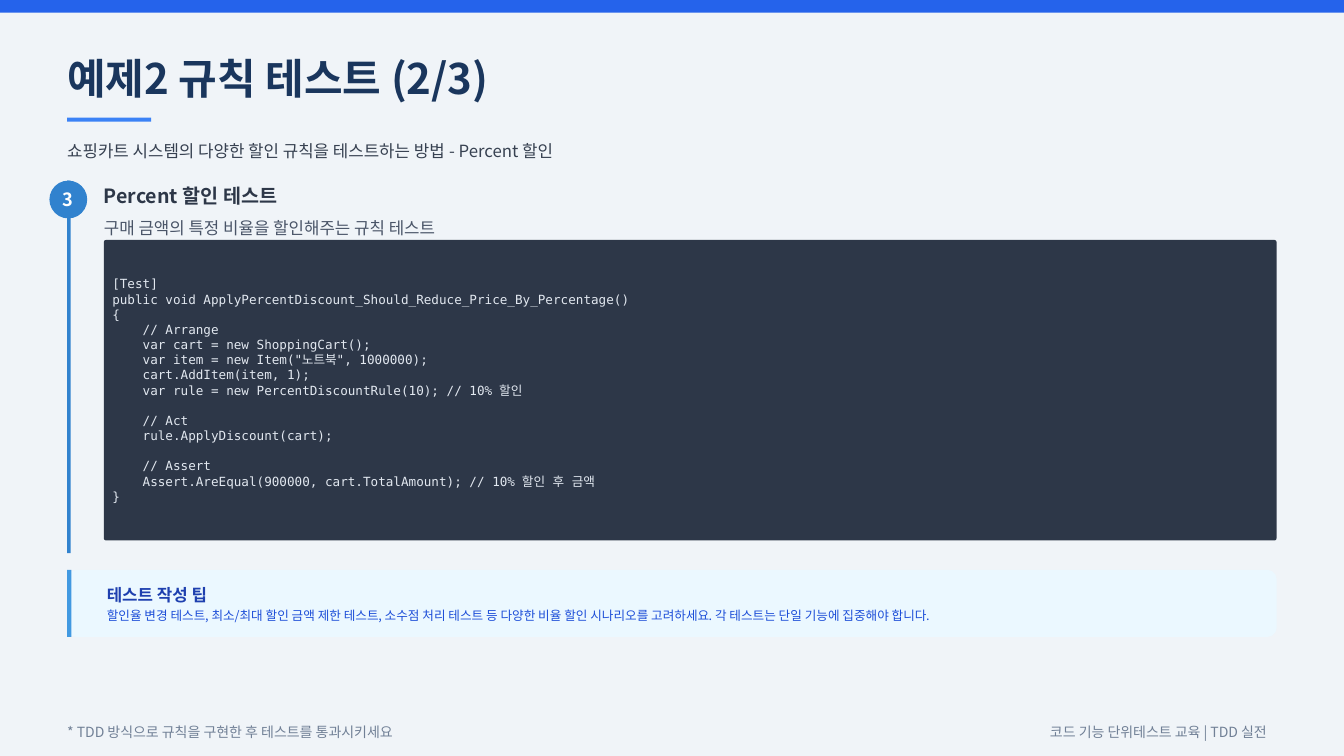
from dataclasses import dataclass

from lxml.etree import SubElement as SubEl
from pptx import Presentation
from pptx.dml.color import RGBColor as RGB
from pptx.enum.shapes import MSO_SHAPE as Kind
from pptx.enum.text import MSO_ANCHOR as Anchor
from pptx.oxml.ns import qn
from pptx.util import Pt


@dataclass(frozen=True)
class Theme:
    sans: str = "Noto Sans CJK KR"
    mono: str = "DejaVu Sans Mono"
    # Type sizes
    title: int = 30
    head: int = 14
    badge: int = 13
    body: int = 12
    foot: int = 10
    small: int = 9
    # Surfaces
    page: str = "F0F4F8"
    band: str = "2563EB"
    rule: str = "3B82F6"
    step: str = "3182CE"
    panel: str = "2D3748"
    tip: str = "EBF8FF"
    edge: str = "4299E1"
    # Text colours
    navy: str = "1A365D"
    ink: str = "374151"
    dark: str = "2D3748"
    grey: str = "4A5568"
    mute: str = "718096"
    code: str = "E2E8F0"
    white: str = "FFFFFF"
    lead: str = "1E40AF"
    note: str = "1D4ED8"


T = Theme()
WIDE, HIGH = 960, 540
LEFT = 48      # page margin
INNER = 74.2   # left edge of the step content
TIP_X = 76.3   # left edge of the tip text
GAP = 10.85    # one blank line of code

CODE = """[Test]
public void ApplyPercentDiscount_Should_Reduce_Price_By_Percentage()
{
    // Arrange
    var cart = new ShoppingCart();
    var item = new Item("노트북", 1000000);
    cart.AddItem(item, 1);
    var rule = new PercentDiscountRule(10); // 10% 할인

    // Act
    rule.ApplyDiscount(cart);

    // Assert
    Assert.AreEqual(900000, cart.TotalAmount); // 10% 할인 후 금액
}"""


def box(slide, area, fill, kind=Kind.RECTANGLE, curve=None):
    shape = slide.shapes.add_shape(kind, *map(Pt, area))
    shape.shadow.inherit = False
    shape.fill.solid()
    shape.fill.fore_color.rgb = RGB.from_string(fill)
    shape.line.fill.background()
    if curve is not None:
        shape.adjustments[0] = curve


def frame(slide, area):
    text = slide.shapes.add_textbox(*map(Pt, area)).text_frame
    form = dict(word_wrap=True, vertical_anchor=Anchor.MIDDLE, margin_left=0,
                margin_top=0, margin_right=0, margin_bottom=0)
    for key, value in form.items():
        setattr(text, key, value)
    return text


def write(para, words, size, color, bold=False, face=T.sans):
    run = para.add_run()
    run.text = words
    form = dict(size=Pt(size), bold=bold, name=face)
    for key, value in form.items():
        setattr(run.font, key, value)
    run.font.color.rgb = RGB.from_string(color)
    # Korean glyphs take the East Asian face
    SubEl(run.font._element, qn("a:ea")).set("typeface", face)


def label(slide, area, words, size, color, bold=False):
    write(frame(slide, area).paragraphs[0], words, size, color, bold)


def listing(slide, area, source):
    text = frame(slide, area)
    for part, block in enumerate(source.split("\n\n")):
        for row, line in enumerate(block.split("\n")):
            first = part == row == 0
            para = text.paragraphs[0] if first else text.add_paragraph()
            if part and row == 0:
                para.space_before = Pt(GAP)
            write(para, line, T.small, T.code, face=T.mono)


def header(slide):
    box(slide, (0, 0, WIDE, HIGH), T.page)
    box(slide, (0, 0, WIDE, 9), T.band)
    label(slide, (LEFT, 34, 320, 43), "예제2 규칙 테스트 (2/3)",
          T.title, T.navy, True)
    box(slide, (LEFT, 84, 60, 3), T.rule)
    label(slide, (LEFT, 99, 362, 18),
          "쇼핑카트 시스템의 다양한 할인 규칙을 테스트하는 방법 - Percent 할인",
          T.body, T.ink)


def step(slide):
    box(slide, (LEFT, 129, 2.4, 266.2), T.step)
    box(slide, (35.3, 129, 27, 27), T.step, Kind.OVAL)
    label(slide, (44.5, 132.5, 18, 20), "3", T.badge, T.white, True)
    label(slide, (INNER, 129, 139, 21), "Percent 할인 테스트",
          T.head, T.dark, True)
    label(slide, (INNER, 153.4, 250.6, 18),
          "구매 금액의 특정 비율을 할인해주는 규칙 테스트", T.body, T.grey)
    box(slide, (INNER, 171.4, 837.6, 214.6), T.panel,
        Kind.ROUNDED_RECTANGLE, 0.007)
    listing(slide, (80.2, 180, 774, 197.3), CODE)


def tip(slide):
    box(slide, (LEFT, 407, 864, 48), T.tip, Kind.ROUNDED_RECTANGLE, 0.14)
    box(slide, (LEFT, 407, 3, 48), T.edge)
    label(slide, (TIP_X, 416, 83, 18), "테스트 작성 팁", T.body, T.lead, True)
    label(slide, (TIP_X, 433.4, 610, 13),
          "할인율 변경 테스트, 최소/최대 할인 금액 제한 테스트, 소수점 처리 테스트 등 "
          "다양한 비율 할인 시나리오를 고려하세요. 각 테스트는 단일 기능에 집중해야 합니다.",
          T.small, T.note)


def footer(slide):
    for left, wide, words in (
            (LEFT, 250, "* TDD 방식으로 규칙을 구현한 후 테스트를 통과시키세요"),
            (750, 170, "코드 기능 단위테스트 교육 | TDD 실전")):
        label(slide, (left, 515.5, wide, 15), words, T.foot, T.mute)


def main():
    deck = Presentation()
    deck.slide_width, deck.slide_height = Pt(WIDE), Pt(HIGH)
    slide = deck.slides.add_slide(deck.slide_layouts[6])
    for draw in (header, step, tip, footer):
        draw(slide)
    deck.save("out.pptx")


if __name__ == "__main__":
    main()
